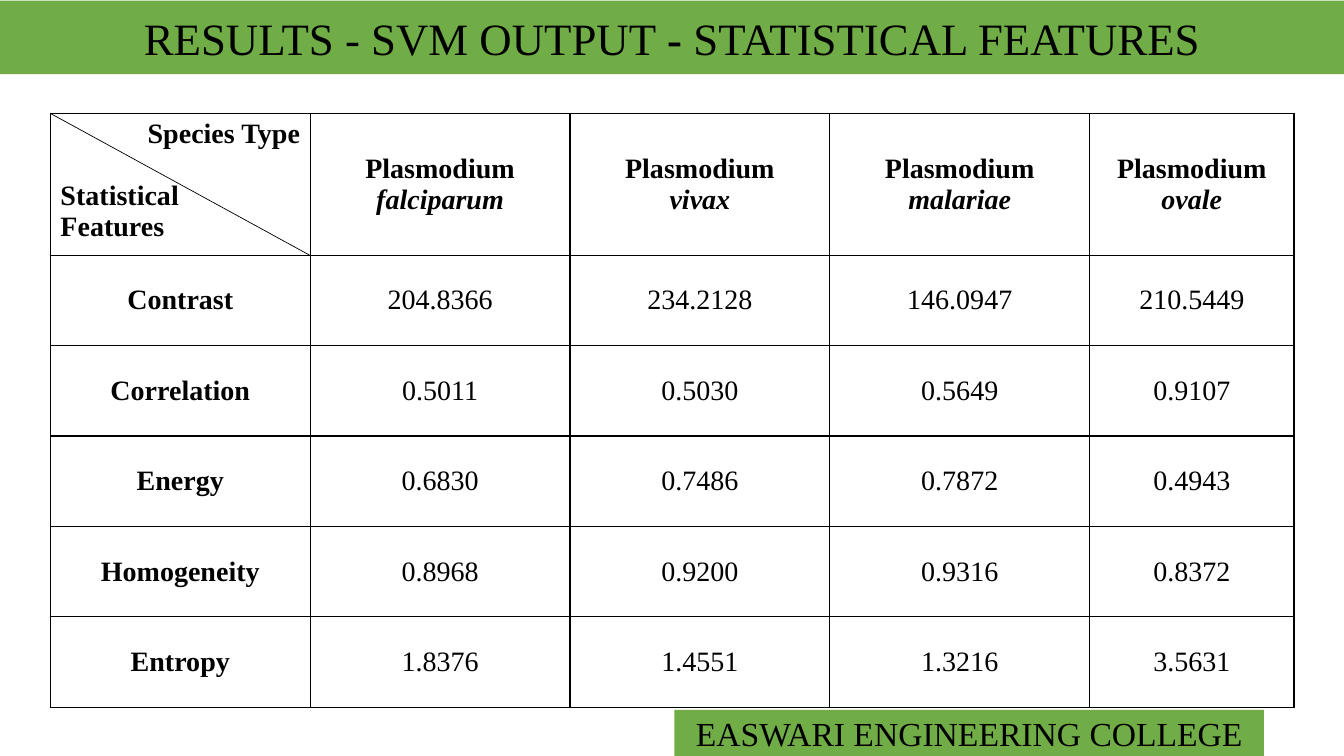
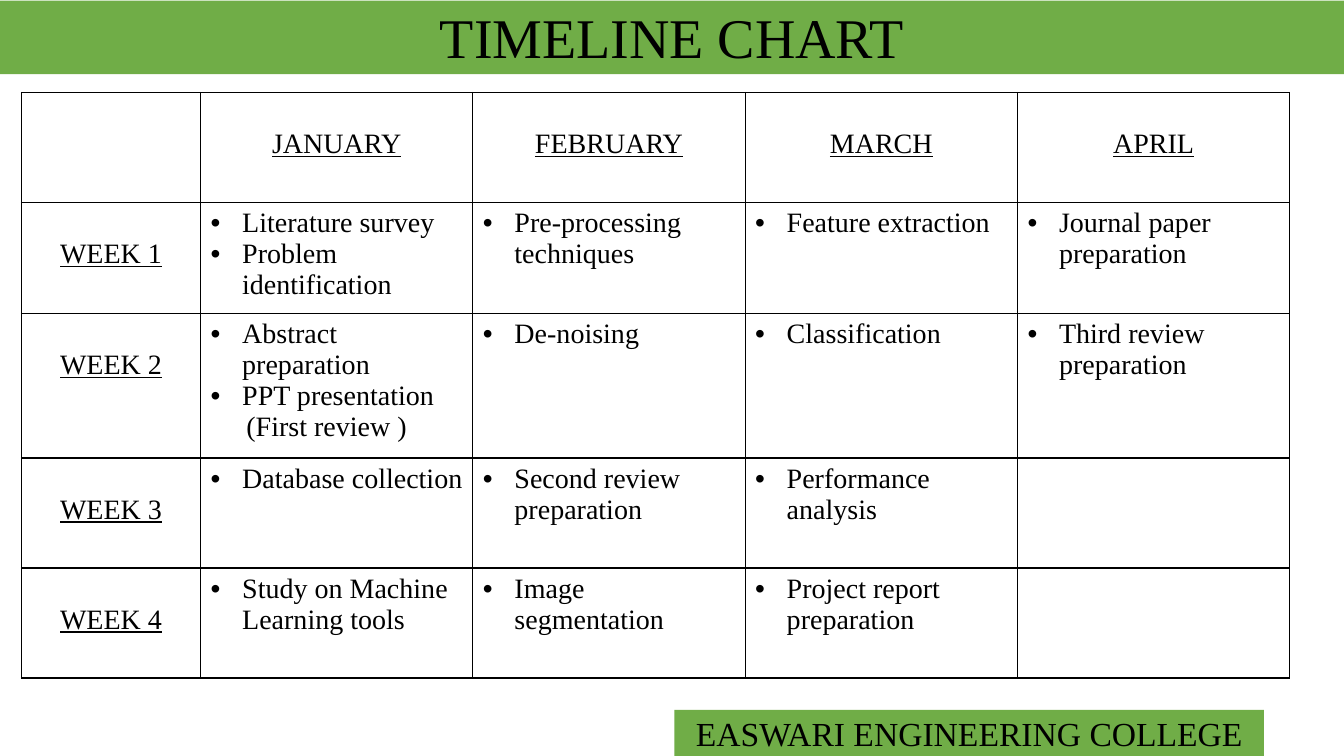
"""Build the results and timeline slides with python-pptx."""
from dataclasses import dataclass, field

from pptx import Presentation
from pptx.dml.color import RGBColor
from pptx.enum.shapes import MSO_CONNECTOR, MSO_SHAPE
from pptx.enum.text import MSO_ANCHOR, PP_ALIGN
from pptx.oxml import parse_xml
from pptx.oxml.ns import nsdecls
from pptx.util import Pt

LEFT, CENTER, RIGHT = PP_ALIGN.LEFT, PP_ALIGN.CENTER, PP_ALIGN.RIGHT
TOP, MIDDLE = MSO_ANCHOR.TOP, MSO_ANCHOR.MIDDLE
RECT, STRAIGHT = MSO_SHAPE.RECTANGLE, MSO_CONNECTOR.STRAIGHT

FONT = "Times New Roman"
GREEN, BLACK = "70AD47", "000000"
WIDE, HIGH = 960, 540
BODY = 20
HANG = 22.5
DROP = 25.8


@dataclass
class Run:
    text: str
    form: dict = field(default_factory=dict)


@dataclass
class Para:
    runs: list[Run]
    form: dict = field(default_factory=dict)
    bullet: bool = False
    indent: float = 0


@dataclass
class Cell:
    paras: list[Para] = field(default_factory=list)
    anchor: MSO_ANCHOR = TOP
    inset: float = 3.6


@dataclass
class Grid:
    left: float
    top: float
    cols: list[float]
    rows: list[float]
    cells: list[list[Cell]]


def color(code: str) -> RGBColor:
    """Turn a hex string into a colour."""
    return RGBColor.from_string(code)


def style(item, form: dict) -> None:
    """Set each format value on an object."""
    for name, value in form.items():
        setattr(item, name, value)


def write(frame, paras: list[Para], size: float) -> None:
    """Fill a text frame with paragraphs."""
    for index, para in enumerate(paras):
        line = frame.add_paragraph() if index else frame.paragraphs[0]
        style(line, para.form)
        props = line._p.get_or_add_pPr()
        if para.indent:
            props.set("marL", str(Pt(para.indent)))
        if para.bullet:
            props.set("indent", str(-Pt(para.indent)))
            props.append(parse_xml(f'<a:buFont {nsdecls("a")} typeface="Arial"/>'))
            props.append(parse_xml(f'<a:buChar {nsdecls("a")} char="•"/>'))
        for part in para.runs:
            run = line.add_run()
            run.text = part.text
            style(run.font, {"name": FONT, "size": Pt(size), **part.form})
            run.font.color.rgb = color(BLACK)


def band(slide, left: float, top: float, width: float, height: float):
    """Draw a green band."""
    box = slide.shapes.add_shape(RECT, Pt(left), Pt(top), Pt(width), Pt(height))
    box.shadow.inherit = False
    box.fill.solid()
    box.fill.fore_color.rgb = color(GREEN)
    box.line.fill.background()
    return box


def page(deck, runs: list[Run], size: float):
    """Add a slide with footer, title band and title."""
    slide = deck.slides.add_slide(deck.slide_layouts[6])
    foot = band(slide, 481.7, 507, 421.2, 33).text_frame
    band(slide, 0, 0.5, WIDE, 52.5)
    title = slide.shapes.add_textbox(Pt(65), Pt(0), Pt(830), Pt(58)).text_frame
    for frame in (foot, title):
        style(frame, {"word_wrap": True, "vertical_anchor": MIDDLE})
    write(foot, [Para([Run("EASWARI ENGINEERING COLLEGE")], {"alignment": CENTER})], 24)
    write(title, [Para(runs, {"alignment": CENTER, "line_spacing": 0.9})], size)
    return slide


def border(cell) -> None:
    """Give a cell thin black borders."""
    props = cell._tc.get_or_add_tcPr()
    for side in ("lnL", "lnR", "lnT", "lnB"):
        props.append(parse_xml(
            f'<a:{side} {nsdecls("a")} w="{Pt(1)}"><a:solidFill>'
            f'<a:srgbClr val="{BLACK}"/></a:solidFill></a:{side}>'))


def table(slide, grid: Grid) -> None:
    """Draw a bordered table."""
    frame = slide.shapes.add_table(
        len(grid.rows), len(grid.cols), Pt(grid.left), Pt(grid.top),
        Pt(sum(grid.cols)), Pt(sum(grid.rows)))
    body = frame.table
    style(body, {"first_row": False, "horz_banding": False})
    for col, width in zip(body.columns, grid.cols):
        col.width = Pt(width)
    for row, height, cells in zip(body.rows, grid.rows, grid.cells):
        row.height = Pt(height)
        for cell, data in zip(row.cells, cells):
            border(cell)
            cell.fill.background()
            style(cell, {"vertical_anchor": data.anchor, "margin_top": Pt(data.inset)})
            write(cell.text_frame, data.paras, BODY)


def plain(text: str, align: PP_ALIGN = CENTER, before: float = 0, **form) -> Para:
    """Make a paragraph of one run."""
    return Para([Run(text, form)], {"alignment": align, "space_before": Pt(before)})


def species(name: str) -> Cell:
    """Make a species heading."""
    return Cell([plain("Plasmodium", bold=True),
                 plain(name, bold=True, italic=True)], MIDDLE)


def label(text: str) -> Cell:
    """Make an underlined month or week cell."""
    return Cell([plain(text, underline=True)], inset=DROP)


def tasks(*items: str) -> Cell:
    """Make a cell of bulleted tasks."""
    return Cell([Para([Run(item)], bullet=True, indent=HANG) for item in items])


def results(deck) -> None:
    """Add the statistical features slide."""
    slide = page(deck, [Run("RESULTS - SVM OUTPUT "), Run("-", {"bold": True}),
                        Run(" STATISTICAL FEATURES")], 32)
    values = {
        "Contrast": ("204.8366", "234.2128", "146.0947", "210.5449"),
        "Correlation": ("0.5011", "0.5030", "0.5649", "0.9107"),
        "Energy": ("0.6830", "0.7486", "0.7872", "0.4943"),
        "Homogeneity": ("0.8968", "0.9200", "0.9316", "0.8372"),
        "Entropy": ("1.8376", "1.4551", "1.3216", "3.5631"),
    }
    corner = Cell([plain("Species Type", RIGHT, bold=True),
                   plain("Statistical", LEFT, 22, bold=True),
                   plain("Features", LEFT, bold=True)])
    names = ("falciparum", "vivax", "malariae", "ovale")
    cells = [[corner, *map(species, names)]]
    for name, nums in values.items():
        cells.append([Cell([plain(name, bold=True)], MIDDLE),
                      *(Cell([plain(num)], MIDDLE) for num in nums)])
    left, top, width = 36, 81, 185.6
    table(slide, Grid(left, top, [width] * 4 + [146], [95.8] + [64.6] * 5, cells))
    line = slide.shapes.add_connector(
        STRAIGHT, Pt(left), Pt(top), Pt(left + width), Pt(182.5))
    line.line.width = Pt(0.5)
    line.line.color.rgb = color(BLACK)
    line._element.spPr.append(parse_xml(f'<a:effectLst {nsdecls("a")}/>'))


def timeline(deck) -> None:
    """Add the timeline slide."""
    slide = page(deck, [Run("TIMELINE CHART")], 40)
    first = tasks("Abstract preparation", "PPT presentation")
    first.paras.append(Para([Run("(First review )")], indent=25.5))
    weeks = [
        [tasks("Literature survey", "Problem identification"),
         tasks("Pre-processing techniques"), tasks("Feature extraction"),
         tasks("Journal paper preparation")],
        [first, tasks("De-noising"), tasks("Classification"),
         tasks("Third review preparation")],
        [tasks("Database collection"), tasks("Second review preparation"),
         tasks("Performance analysis"), Cell()],
        [tasks("Study on Machine Learning tools"), tasks("Image segmentation"),
         tasks("Project report preparation"), Cell()],
    ]
    months = ("JANUARY", "FEBRUARY", "MARCH", "APRIL")
    cells = [[Cell(), *map(label, months)]]
    for num, week in enumerate(weeks, 1):
        cells.append([label(f"WEEK {num}"), *week])
    high = 78.6
    table(slide, Grid(15.3, 66, [128] + [194.5] * 4,
                      [high, high, 101.2, high, high], cells))


def main() -> None:
    """Build and save the deck."""
    deck = Presentation()
    style(deck, {"slide_width": Pt(WIDE), "slide_height": Pt(HIGH)})
    results(deck)
    timeline(deck)
    deck.save("out.pptx")


if __name__ == "__main__":
    main()
